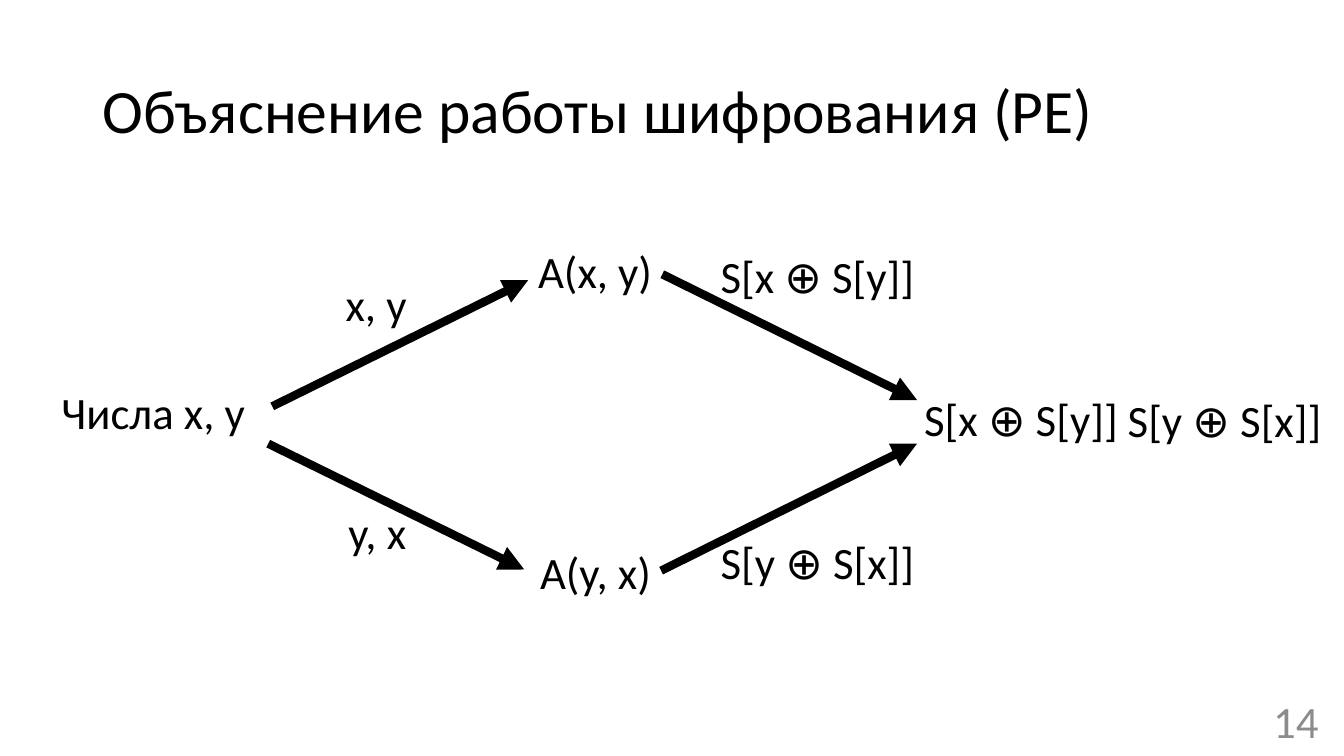
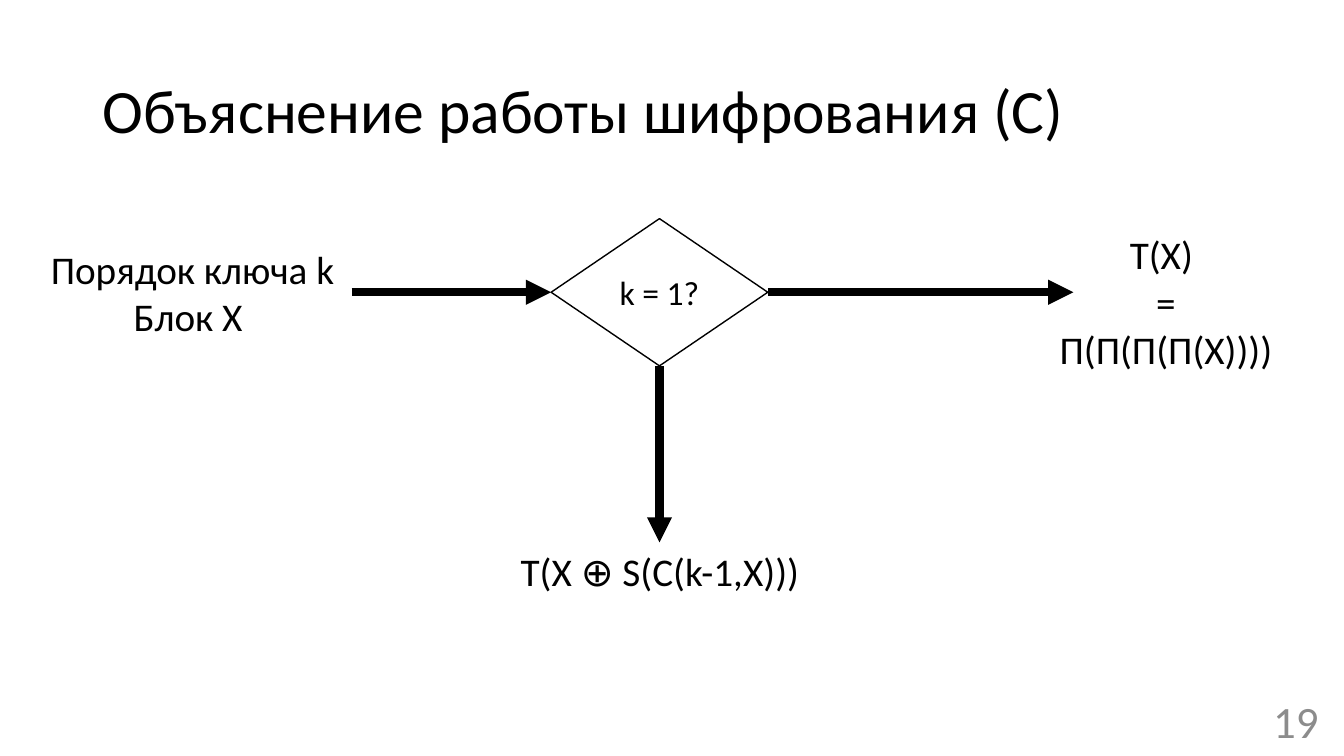
"""Builds two diagram slides that explain how the cipher works."""
from lxml.etree import SubElement
from pptx import Presentation
from pptx.dml.color import RGBColor
from pptx.enum.shapes import MSO_CONNECTOR, MSO_SHAPE
from pptx.enum.text import MSO_ANCHOR as Anchor, MSO_AUTO_SIZE as Fit, PP_ALIGN as Align
from pptx.oxml.ns import qn
from pptx.util import Cm, Pt

BLACK = RGBColor(0x00, 0x00, 0x00)
WHITE = RGBColor(0xFF, 0xFF, 0xFF)
GREY = RGBColor(0x8C, 0x8C, 0x8C)
FONT = "Calibri"
LEFT, BOTTOM, RIGHT = 1, 2, 3


class Deck:
    def __init__(self):
        self.prs = Presentation()
        self.prs.slide_width, self.prs.slide_height = Cm(33.87), Cm(19.05)
        self.s = None

    def slide(self, title, number):
        self.s = self.prs.slides.add_slide(self.prs.slide_layouts[6])
        tf = self.box(title, 2.33, 1.02, 29.21, 3.68, 44)
        tf.paragraphs[0].line_spacing = 0.9
        self.box(str(number), 25.86, 17.65, 7.62, 1.02, 32, GREY, Align.RIGHT)

    def set_text(self, tf, text, size, color=BLACK, align=Align.LEFT):
        tf.text = text
        for p in tf.paragraphs:
            p.alignment = align
            p.font.name, p.font.size = FONT, Pt(size)
            p.font.color.rgb = color

    def box(self, text, x, y, w, h, size, color=BLACK, align=Align.LEFT):
        tf = self.s.shapes.add_textbox(Cm(x), Cm(y), Cm(w), Cm(h)).text_frame
        tf.word_wrap = True
        tf.vertical_anchor = Anchor.MIDDLE
        self.set_text(tf, text, size, color, align)
        return tf

    def label(self, text, x, y, w, h=1.63, size=32, align=Align.LEFT):
        tf = self.s.shapes.add_textbox(Cm(x), Cm(y), Cm(w), Cm(h)).text_frame
        tf.word_wrap = False
        tf.auto_size = Fit.SHAPE_TO_FIT_TEXT
        self.set_text(tf, text, size, align=align)

    def decision(self, text, x, y, w, h):
        sp = self.s.shapes.add_shape(
            MSO_SHAPE.FLOWCHART_DECISION, Cm(x), Cm(y), Cm(w), Cm(h))
        sp.shadow.inherit = False
        sp.fill.solid()
        sp.fill.fore_color.rgb = WHITE
        sp.line.color.rgb = BLACK
        sp.line.width = Pt(1)
        sp.text_frame.vertical_anchor = Anchor.MIDDLE
        self.set_text(sp.text_frame, text, 24, align=Align.CENTER)
        return sp

    def arrow(self, x1, y1, x2, y2):
        cxn = self.s.shapes.add_connector(
            MSO_CONNECTOR.STRAIGHT, Cm(x1), Cm(y1), Cm(x2), Cm(y2))
        cxn.line.color.rgb = BLACK
        cxn.line.width = Pt(6)
        spPr = cxn._element.spPr
        SubElement(spPr.find(qn("a:ln")), qn("a:tailEnd"), type="triangle")
        SubElement(spPr, qn("a:effectLst"))
        return cxn


def pair_slide(deck):
    deck.slide("Объяснение работы шифрования (PE)", 14)
    s_xy, s_yx = "S[x ⊕ S[y]]", "S[y ⊕ S[x]]"
    for text, x, y, w in (
        ("Числа x, y", 1.3, 9.58, 5.18),
        ("y, x", 8.53, 12.6, 1.98),
        ("x, y", 8.46, 6.86, 2.06),
        ("A(x, y)", 13.31, 6.02, 3.43),
        ("A(y, x)", 13.36, 13.61, 3.33),
        (s_xy, 17.91, 6.15, 5.64),
        (s_yx, 17.91, 13.36, 5.64),
        (s_xy, 23.04, 9.75, 5.64),
        (s_yx, 28.17, 9.78, 5.64),
    ):
        deck.label(text, x, y, w)
    for ends in (
        (6.76, 11.18, 13.21, 14.35),
        (6.86, 10.24, 13.31, 7.06),
        (16.69, 6.91, 23.11, 10.08),
        (16.66, 14.38, 23.11, 11.18),
    ):
        deck.arrow(*ends)


def branch_slide(deck):
    deck.slide("Объяснение работы шифрования (С)", 19)
    x, y, w, h = 13.89, 5.51, 5.46, 3.71
    mid_x, mid_y = x + w / 2, y + h / 2
    test = deck.decision("k = 1?", x, y, w, h)
    for text, *place in (
        ("Порядок ключа k\nБлок X ", 0.86, 6.05, 7.98, 2.64),
        ("T(X) \n=\nП(П(П(П(X))))", 26.42, 5.69, 5.92, 3.84),
        ("T(X ⊕ S(C(k-1,X)))", 12.73, 13.67, 7.8, 1.45),
    ):
        deck.label(text, *place, size=28, align=Align.CENTER)
    deck.arrow(8.86, mid_y, x, mid_y).end_connect(test, LEFT)
    deck.arrow(x + w, mid_y, 27.05, mid_y).begin_connect(test, RIGHT)
    deck.arrow(mid_x, y + h, mid_x, 13.67).begin_connect(test, BOTTOM)


def main():
    deck = Deck()
    pair_slide(deck)
    branch_slide(deck)
    deck.prs.save("out.pptx")


if __name__ == "__main__":
    main()
